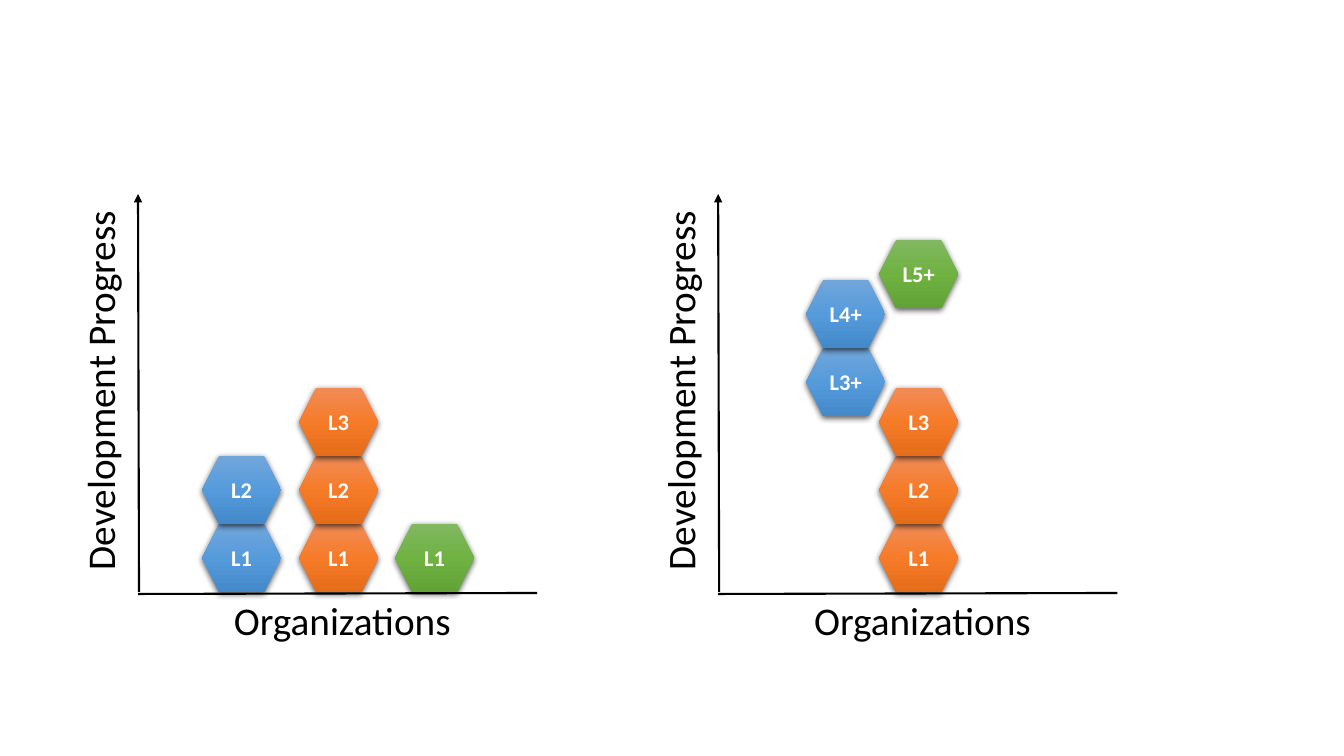
"""Build a slide with two charts of stacked hexagons: progress by organization."""
import copy
import pptx
import pptx.util
import pptx.dml.color
import pptx.enum.shapes
import pptx.enum.text
import pptx.oxml
import pptx.oxml.ns

RGB = pptx.dml.color.RGBColor
BLACK = RGB(0, 0, 0)
WHITE = RGB(255, 255, 255)
BLUE = (RGB(0x71, 0xA6, 0xDB), RGB(0x55, 0x9B, 0xDB), RGB(0x44, 0x8A, 0xCA))
ORANGE = (RGB(0xF1, 0x8C, 0x57), RGB(0xF6, 0x7B, 0x28), RGB(0xE5, 0x6C, 0x19))
GREEN = (RGB(0x81, 0xB8, 0x61), RGB(0x6F, 0xB2, 0x42), RGB(0x62, 0xA3, 0x36))
NS = pptx.oxml.ns.nsdecls("a")
SHADOW = (
    f'<a:effectLst {NS}><a:outerShdw blurRad="57150" dist="19050" dir="5400000" '
    'algn="ctr" rotWithShape="0"><a:srgbClr val="000000"><a:alpha val="63000"/>'
    '</a:srgbClr></a:outerShdw></a:effectLst>'
)
SCALE = 914400 / 100.8
HEX_W, HEX_H = 79, 68
BASE = 524
SHIFT = 580


def px(*vals):
    return [pptx.util.Emu(round(val * SCALE)) for val in vals]


def write(shape, text, size, color, bold=False):
    run = shape.text_frame.paragraphs[0].add_run()
    run.text = text
    run.font.name = "Calibri"
    run.font.size = pptx.util.Pt(size)
    run.font.bold = bold
    run.font.color.rgb = color


deck = pptx.Presentation()
deck.slide_width = pptx.util.Inches(13.33)
deck.slide_height = pptx.util.Inches(7.5)
shapes = deck.slides.add_slide(deck.slide_layouts[6]).shapes

plots = [
    [
        (202, BASE, BLUE, ["L1", "L2"]),
        (299, BASE, ORANGE, ["L1", "L2", "L3"]),
        (395, BASE, GREEN, ["L1"]),
    ],
    [
        (226, 348, BLUE, ["L3+", "L4+"]),
        (299, BASE, ORANGE, ["L1", "L2", "L3"]),
        (299, 240, GREEN, ["L5+"]),
    ],
]
axes = [((139, 592), (138, 194), True), ((138, 594), (537, 593), False)]
titles = [
    ("Development Progress", (71, 207, 67, 373), "vert270"),
    ("Organizations", (224, 591, 244, 67), "horz"),
]

for num, stacks in enumerate(plots):
    dx = num * SHIFT
    for left, base, tones, labels in stacks:
        for level, label in enumerate(labels):
            tile = shapes.add_shape(
                pptx.enum.shapes.MSO_SHAPE.HEXAGON,
                *px(left + dx, base - level * HEX_H, HEX_W, HEX_H))
            tile.line.fill.background()
            tile.fill.gradient()
            tile.fill.gradient_angle = 270
            props = tile._element.spPr
            stops = props.find(".//" + pptx.oxml.ns.qn("a:gsLst"))
            stops.append(copy.deepcopy(stops[0]))
            for step, (stop, tone) in enumerate(zip(tile.fill.gradient_stops, tones)):
                stop.color.rgb = tone
                stop.position = step / 2
            props.append(pptx.oxml.parse_xml(SHADOW))
            frame = tile.text_frame
            frame.word_wrap = False
            frame.vertical_anchor = pptx.enum.text.MSO_ANCHOR.MIDDLE
            frame.paragraphs[0].alignment = pptx.enum.text.PP_ALIGN.CENTER
            write(tile, label, 16, WHITE, True)

    for (x1, y1), (x2, y2), arrow in axes:
        axis = shapes.add_connector(
            pptx.enum.shapes.MSO_CONNECTOR.STRAIGHT, *px(x1 + dx, y1, x2 + dx, y2))
        axis.line.color.rgb = BLACK
        axis.line.width = pptx.util.Pt(1.5)
        if arrow:
            head = pptx.oxml.parse_xml(f'<a:tailEnd {NS} type="triangle"/>')
            axis.line._get_or_add_ln().append(head)
        axis._element.spPr.append(pptx.oxml.parse_xml(f"<a:effectLst {NS}/>"))

    for text, (left, top, width, height), turn in titles:
        box = shapes.add_textbox(*px(left + dx, top, width, height))
        box.text_frame.word_wrap = False
        box.text_frame.auto_size = pptx.enum.text.MSO_AUTO_SIZE.SHAPE_TO_FIT_TEXT
        box.text_frame._txBody.bodyPr.set("vert", turn)
        write(box, text, 28, BLACK)

deck.save("out.pptx")
